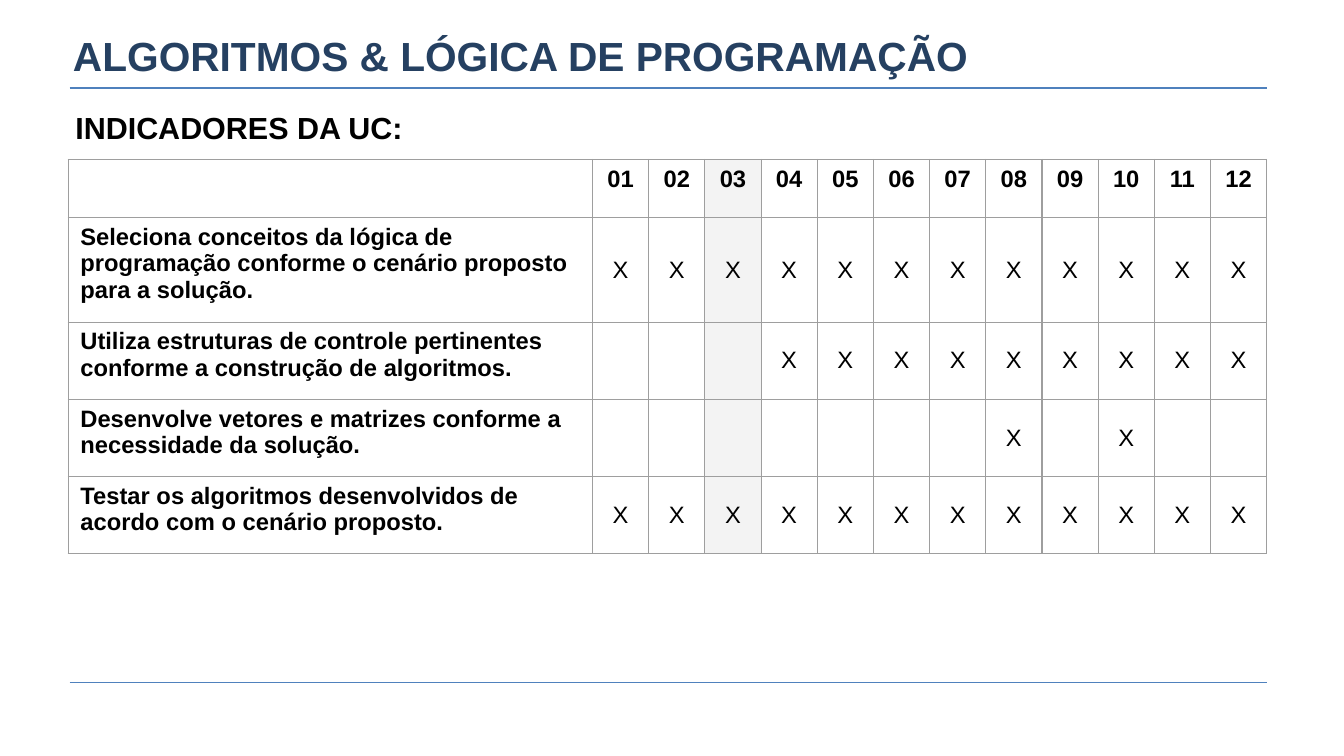
from lxml.etree import SubElement
from pptx import Presentation
from pptx.dml.color import RGBColor
from pptx.enum.shapes import MSO_CONNECTOR
from pptx.enum.text import MSO_ANCHOR, MSO_AUTO_SIZE, PP_ALIGN
from pptx.oxml import parse_xml
from pptx.oxml.ns import nsdecls, qn
from pptx.util import Cm, Pt

NAVY = RGBColor(0x25, 0x40, 0x61)
BLUE = RGBColor(0x4F, 0x81, 0xBD)
BLACK = RGBColor(0x00, 0x00, 0x00)
GRAY = RGBColor(0x9E, 0x9E, 0x9E)
LIGHT_GRAY = RGBColor(0xF3, 0xF3, 0xF3)

LESSONS = range(1, 13)
CURRENT_LESSON = 3
INDICATORS = [
    ("Seleciona conceitos da lógica de programação conforme o cenário proposto para a solução.",
     LESSONS),
    ("Utiliza estruturas de controle pertinentes conforme a construção de algoritmos.",
     range(4, 13)),
    ("Desenvolve vetores e matrizes conforme a necessidade da solução.", (8, 10)),
    ("Testar os algoritmos desenvolvidos de acordo com o cenário proposto.", LESSONS),
]
ROW_HEIGHTS = [1.21, 2.18, 1.61, 1.61, 1.61]


def write(tf, text, size, color=BLACK, bold=True, align=PP_ALIGN.LEFT):
    p = tf.paragraphs[0]
    p.text = text
    p.alignment = align
    p.font.name = "Arial"
    p.font.size = Pt(size)
    p.font.bold = bold
    p.font.color.rgb = color
    return p


def add_title(s, text):
    title = s.shapes.title
    title.left, title.top, title.width, title.height = Cm(1.52), Cm(0.56), Cm(24.94), Cm(1.19)
    tf = title.text_frame
    tf.margin_left = tf.margin_right = tf.margin_top = tf.margin_bottom = 0
    tf.vertical_anchor = MSO_ANCHOR.MIDDLE
    tf.auto_size = MSO_AUTO_SIZE.NONE
    tf.word_wrap = True
    write(tf, text, 24, NAVY)


def add_rule(s, y):
    line = s.shapes.add_connector(MSO_CONNECTOR.STRAIGHT, Cm(1.45), Cm(y), Cm(26.38), Cm(y))
    line.line.color.rgb = BLUE
    line.line.width = Pt(1)
    SubElement(line._element.spPr, qn("a:effectLst"))


def add_heading(s, text):
    tf = s.shapes.add_textbox(Cm(1.32), Cm(1.9), Cm(25.17), Cm(12.24)).text_frame
    tf.margin_left = tf.margin_right = tf.margin_top = tf.margin_bottom = Cm(0.25)
    tf.word_wrap = True
    p = write(tf, text, 18)
    p.line_spacing = 1.15
    p.space_after = Pt(10)


def set_borders(cell):
    tc_pr = cell._tc.get_or_add_tcPr()
    for side in ("lnL", "lnR", "lnT", "lnB"):
        tc_pr.append(parse_xml(
            f'<a:{side} {nsdecls("a")} w="{Pt(0.75)}"><a:solidFill>'
            f'<a:srgbClr val="{GRAY}"/></a:solidFill></a:{side}>'))


def format_cell(cell, highlighted):
    set_borders(cell)
    if highlighted:
        cell.fill.solid()
        cell.fill.fore_color.rgb = LIGHT_GRAY
    else:
        cell.fill.background()


def add_indicator_table(s):
    table = s.shapes.add_table(len(ROW_HEIGHTS), len(LESSONS) + 1,
                               Cm(1.42), Cm(3.32), Cm(24.96), Cm(sum(ROW_HEIGHTS))).table
    table.first_row = table.horz_banding = False
    table.columns[0].width = Cm(10.92)
    for lesson in LESSONS:
        table.columns[lesson].width = Cm(1.17)
        write(table.cell(0, lesson).text_frame, f"{lesson:02}", 14, align=PP_ALIGN.CENTER)
    for row, height in zip(table.rows, ROW_HEIGHTS):
        row.height = Cm(height)
        for col, cell in enumerate(row.cells):
            format_cell(cell, col == CURRENT_LESSON)
    for row, (indicator, lessons) in enumerate(INDICATORS, start=1):
        write(table.cell(row, 0).text_frame, indicator, 14)
        for lesson in lessons:
            cell = table.cell(row, lesson)
            cell.vertical_anchor = MSO_ANCHOR.MIDDLE
            write(cell.text_frame, "X", 14, bold=False, align=PP_ALIGN.CENTER)


def main():
    prs = Presentation()
    prs.slide_width, prs.slide_height = Cm(27.99), Cm(15.75)
    s = prs.slides.add_slide(prs.slide_layouts[5])
    for y in (14.22, 1.83):
        add_rule(s, y)
    add_title(s, "ALGORITMOS & LÓGICA DE PROGRAMAÇÃO")
    add_heading(s, "INDICADORES DA UC:")
    add_indicator_table(s)
    prs.save("out.pptx")


if __name__ == "__main__":
    main()
